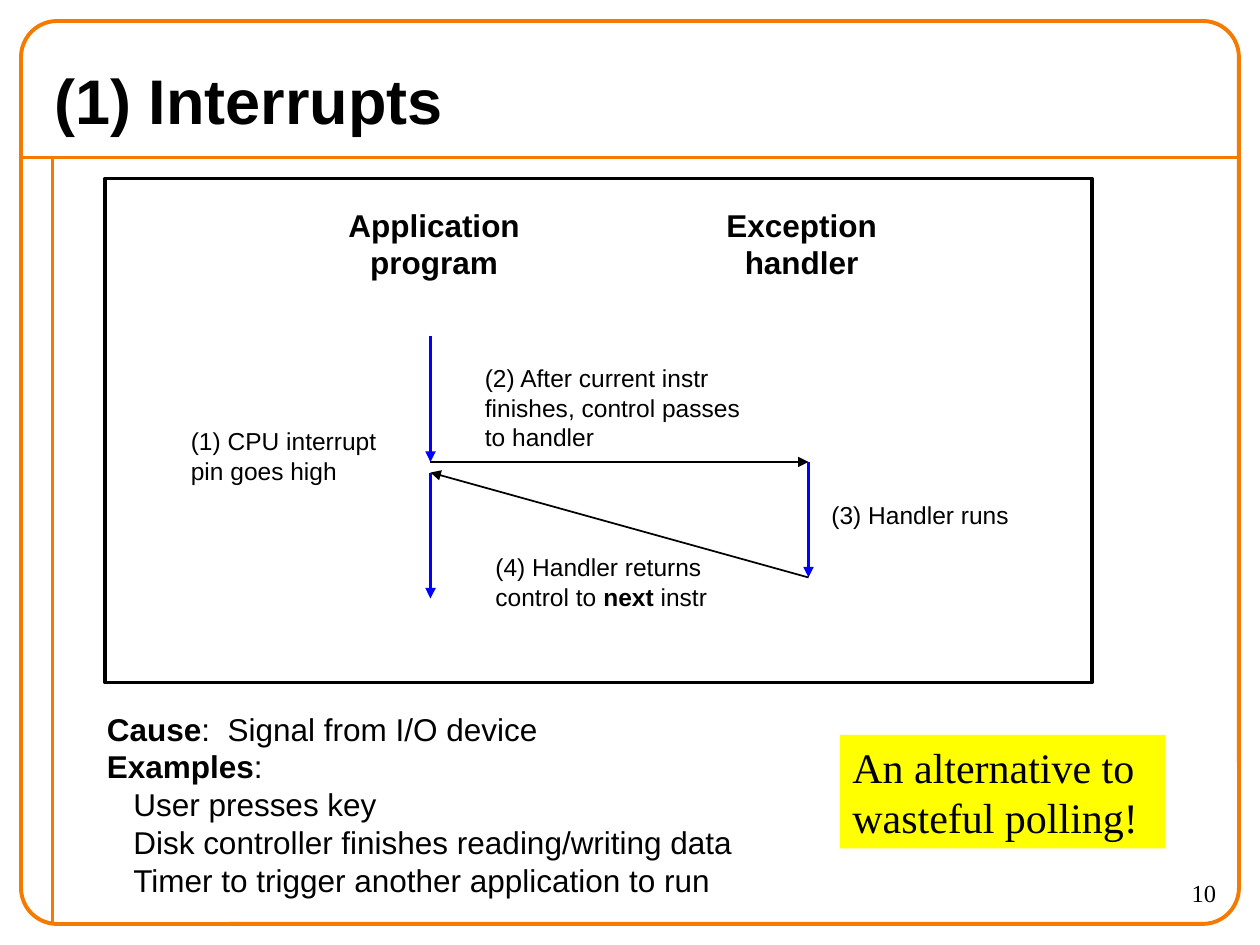
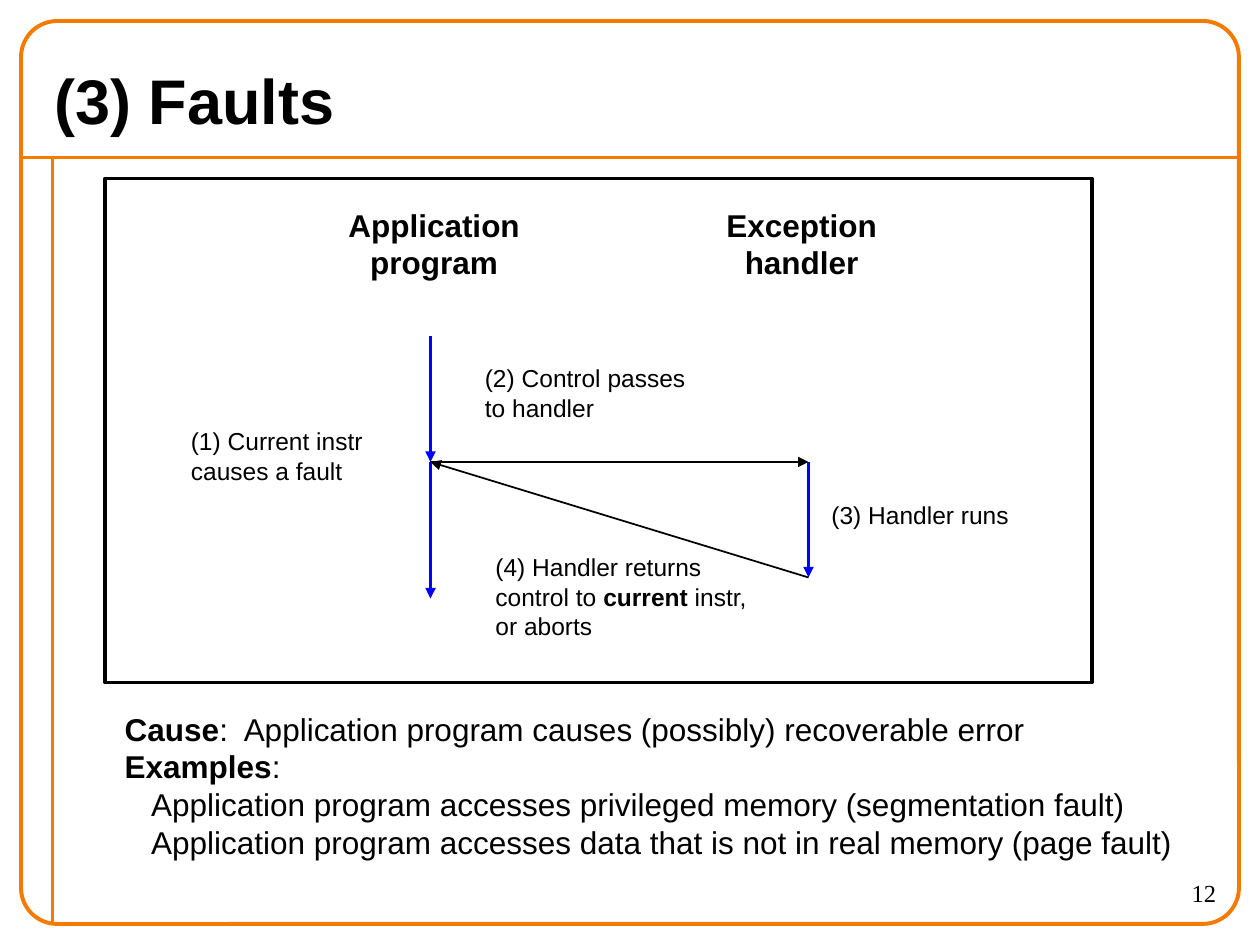
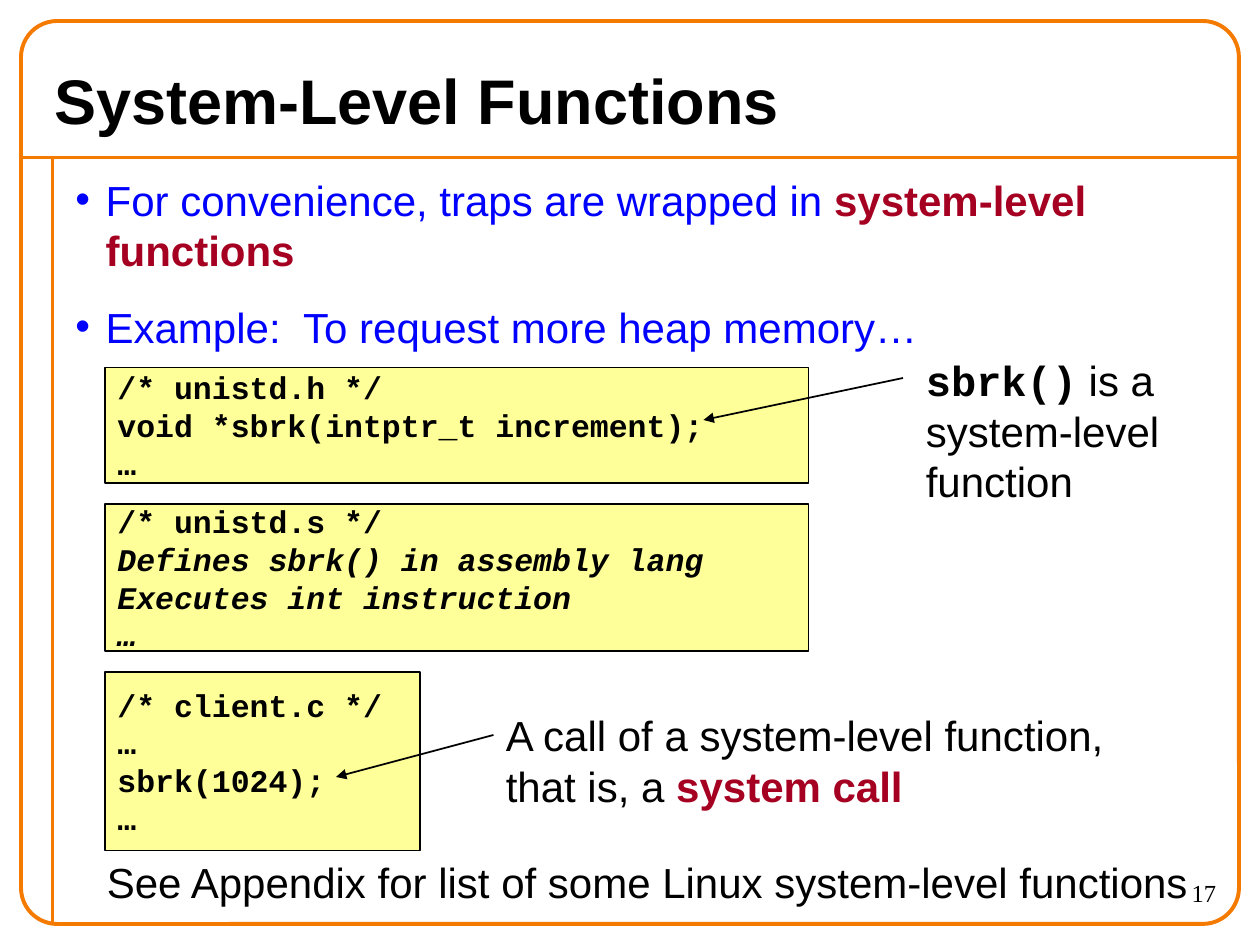
from lxml import etree
from pptx import Presentation
from pptx.dml.color import RGBColor
from pptx.enum.shapes import MSO_CONNECTOR, MSO_SHAPE
from pptx.enum.text import MSO_ANCHOR, PP_ALIGN
from pptx.oxml.ns import qn
from pptx.util import Inches, Pt

LEFT, MID, RIGHT = PP_ALIGN.LEFT, PP_ALIGN.CENTER, PP_ALIGN.RIGHT
TOP, CENTER = MSO_ANCHOR.TOP, MSO_ANCHOR.MIDDLE
RECT, ROUND = MSO_SHAPE.RECTANGLE, MSO_SHAPE.ROUNDED_RECTANGLE
STRAIGHT = MSO_CONNECTOR.STRAIGHT

COLS, ROWS = 120, 90
WIDTH, HEIGHT = Inches(10), Inches(7.5)
CELL = WIDTH / COLS
COLORS = {"ink": "000000", "frame": "F47A00", "blue": "0000FF",
          "red": "A50021", "code": "FFFF99", "note": "FFFF00"}
SANS, SERIF, MONO = "Arial", "Times New Roman", "Courier New"
BASE = {"size": 18, "font": SANS, "color": "ink", "bold": False, "italic": False}


def rgb(name):
    return RGBColor.from_string(COLORS[name])


def grid(*cells):
    return [round(cell * CELL) for cell in cells]


def inside(box, x, y, w, h=None):
    return box[0] + x, box[1] + y, w, h


def style_run(run, style):
    font = run.font
    font.size, font.name = Pt(style["size"]), style["font"]
    font.bold, font.italic = style["bold"], style["italic"]
    font.color.rgb = rgb(style["color"])


def write(shape, lines, mark=None, align=LEFT, anchor=TOP, **look):
    style = {**BASE, **look}
    strong = {**style, "bold": True, **(mark or {})}
    frame = shape.text_frame
    frame.word_wrap = True
    frame.vertical_anchor = anchor
    for i, line in enumerate(lines):
        para = frame.paragraphs[0] if i == 0 else frame.add_paragraph()
        para.alignment = align
        for j, part in enumerate(line.split("|")):
            if part:
                run = para.add_run()
                run.text = part
                style_run(run, strong if j % 2 else style)
    return frame


def add_text(slide, box, lines, **look):
    x, y, w, h = box
    if h is None:
        h = len(lines) * look.get("size", BASE["size"]) * 0.19 + 1.2
    return write(slide.shapes.add_textbox(*grid(x, y, w, h)), lines, **look)


def add_box(slide, box, kind=RECT, fill=None, line=None, width=1):
    shape = slide.shapes.add_shape(kind, *grid(*box))
    shape.shadow.inherit = False
    if fill:
        shape.fill.solid()
        shape.fill.fore_color.rgb = rgb(fill)
    else:
        shape.fill.background()
    if line:
        shape.line.color.rgb = rgb(line)
        shape.line.width = Pt(width)
    else:
        shape.line.fill.background()
    return shape


def add_line(slide, start, end, color="ink", width=1, arrow=True):
    link = slide.shapes.add_connector(STRAIGHT, *grid(*start, *end))
    link.line.color.rgb = rgb(color)
    link.line.width = Pt(width)
    props = link.element.spPr
    if arrow:
        etree.SubElement(props.find(qn("a:ln")), qn("a:tailEnd"), type="triangle")
    etree.SubElement(props, qn("a:effectLst"))


def indent(para, left, first=0, bullet=None):
    props = para._p.get_or_add_pPr()
    props.set("marL", str(Inches(left)))
    props.set("indent", str(Inches(first)))
    if bullet:
        tint = etree.SubElement(props, qn("a:buClr"))
        etree.SubElement(tint, qn("a:srgbClr"), val=COLORS[bullet])
        etree.SubElement(props, qn("a:buFont"), typeface=SANS)
        etree.SubElement(props, qn("a:buChar"), char="•")


def add_page(deck, title, number):
    slide = deck.slides.add_slide(deck.slide_layouts[6])
    edge, rule, side = 2, 15, 5
    far, foot = COLS - edge, ROWS - edge
    for start, end in (((edge, rule), (far, rule)), ((side, rule), (side, foot))):
        add_line(slide, start, end, "frame", 2.25, arrow=False)
    rim = add_box(slide, (edge, edge, far - edge, foot - edge), ROUND,
                  line="frame", width=2.25)
    rim.adjustments[0] = 0.04
    add_text(slide, (105, 83, 12, 5), [str(number)], size=14, font=SERIF, align=RIGHT)
    add_text(slide, (4, 5, 112, 9), [title], size=36, bold=True, anchor=CENTER)
    return slide


def add_flow(slide, box, notes, back):
    app, handler = 31, 67
    begin, trap, done, stop = 15, 27, 38, 40
    for x, w, words in ((22, 18.7, ["Application", "program"]),
                        (58, 16.7, ["Exception", "handler"])):
        add_text(slide, inside(box, x, 2, w), words, bold=True, align=MID)
    steps = [(app, begin, app, trap), (app, trap, handler, trap),
             (handler, trap, handler, done), (handler, done, app, back),
             (app, back, app, stop)]
    for x1, y1, x2, y2 in steps:
        color, width = ("blue", 2) if x1 == x2 else ("ink", 1)
        add_line(slide, inside(box, x1, y1, 0)[:2], inside(box, x2, y2, 0)[:2],
                 color, width)
    add_box(slide, box, line="ink", width=2)
    spots = [(7, 23, 24), (35, 17, 31), (68, 30, 21), (36, 35, 27)]
    for spot, lines in zip(spots, notes):
        add_text(slide, inside(box, *spot), lines, size=14)


def add_cause(slide, box, cause, cases):
    lines = [f"|Cause|:  {cause}", "|Examples|:", *cases]
    for para in add_text(slide, box, lines).paragraphs[2:]:
        indent(para, 0.21)


def flow_page(deck, title, number, notes, back, box, cause, cases):
    slide = add_page(deck, title, number)
    add_flow(slide, (10, 17, 94, 48), notes, back)
    add_cause(slide, box, cause, cases)
    return slide


def add_points(slide, box, lines):
    frame = add_text(slide, box, lines, size=24, color="blue", mark={"color": "red"})
    for i, para in enumerate(frame.paragraphs):
        indent(para, 0.24, -0.24, "blue")
        if i:
            para.space_before = Pt(15)


def add_code(slide, box, lines):
    shape = add_box(slide, box, fill="code", line="ink")
    write(shape, lines, mark={"italic": True}, font=MONO, bold=True, anchor=CENTER)


def code_page(deck):
    slide = add_page(deck, "System-Level Functions", 17)
    add_points(slide, (6, 16, 111, 72), [
        "For convenience, traps are wrapped in |system-level functions|",
        "Example:  To request more heap memory…"])
    files = [(67, 11, ["/* unistd.h */", "void *sbrk(intptr_t increment);", "…"]),
             (67, 14, ["/* unistd.s */", "|Defines sbrk() in assembly lang|",
                       "|Executes int instruction|", "|…|"]),
             (30, 17, ["/* client.c */", "…", "sbrk(1024);", "…"])]
    top, gap = 35, 2
    for w, h, lines in files:
        add_code(slide, (10, top, w, h), lines)
        top += h + gap
    add_text(slide, (47, 67, 60, None),
             ["A call of a system-level function,", "that is, a |system call|"],
             size=24, mark={"color": "red"})
    add_line(slide, (47, 70), (32, 74))
    add_text(slide, (87, 33.2, 25, None),
             ["|sbrk()| is a", "system-level", "function"],
             size=24, mark={"font": MONO})
    add_line(slide, (86, 36), (67, 40))
    add_text(slide, (9, 81, 107, None),
             ["See Appendix for list of some Linux system-level functions"], size=24)


def main():
    deck = Presentation()
    deck.slide_width, deck.slide_height = WIDTH, HEIGHT
    runs = ["(3) Handler runs"]
    slide = flow_page(
        deck, "(1) Interrupts", 10,
        [["(1) CPU interrupt", "pin goes high"],
         ["(2) After current instr", "finishes, control passes", "to handler"],
         runs,
         ["(4) Handler returns", "control to |next| instr"]],
        28, (9, 67, 62, None), "Signal from I/O device",
        ["User presses key", "Disk controller finishes reading/writing data",
         "Timer to trigger another application to run"])
    write(add_box(slide, (80, 70, 31, 10.8), fill="note"),
          ["An alternative to wasteful polling!"], size=24, font=SERIF)
    flow_page(
        deck, "(3) Faults", 12,
        [["(1) Current instr", "causes a fault"],
         ["(2) Control passes", "to handler"],
         runs,
         ["(4) Handler returns", "control to |current| instr,", "or aborts"]],
        27, (10.7, 67, 103, None),
        "Application program causes (possibly) recoverable error",
        ["Application program accesses privileged memory (segmentation fault)",
         "Application program accesses data that is not in real memory (page fault)"])
    code_page(deck)
    deck.save("out.pptx")


if __name__ == "__main__":
    main()
